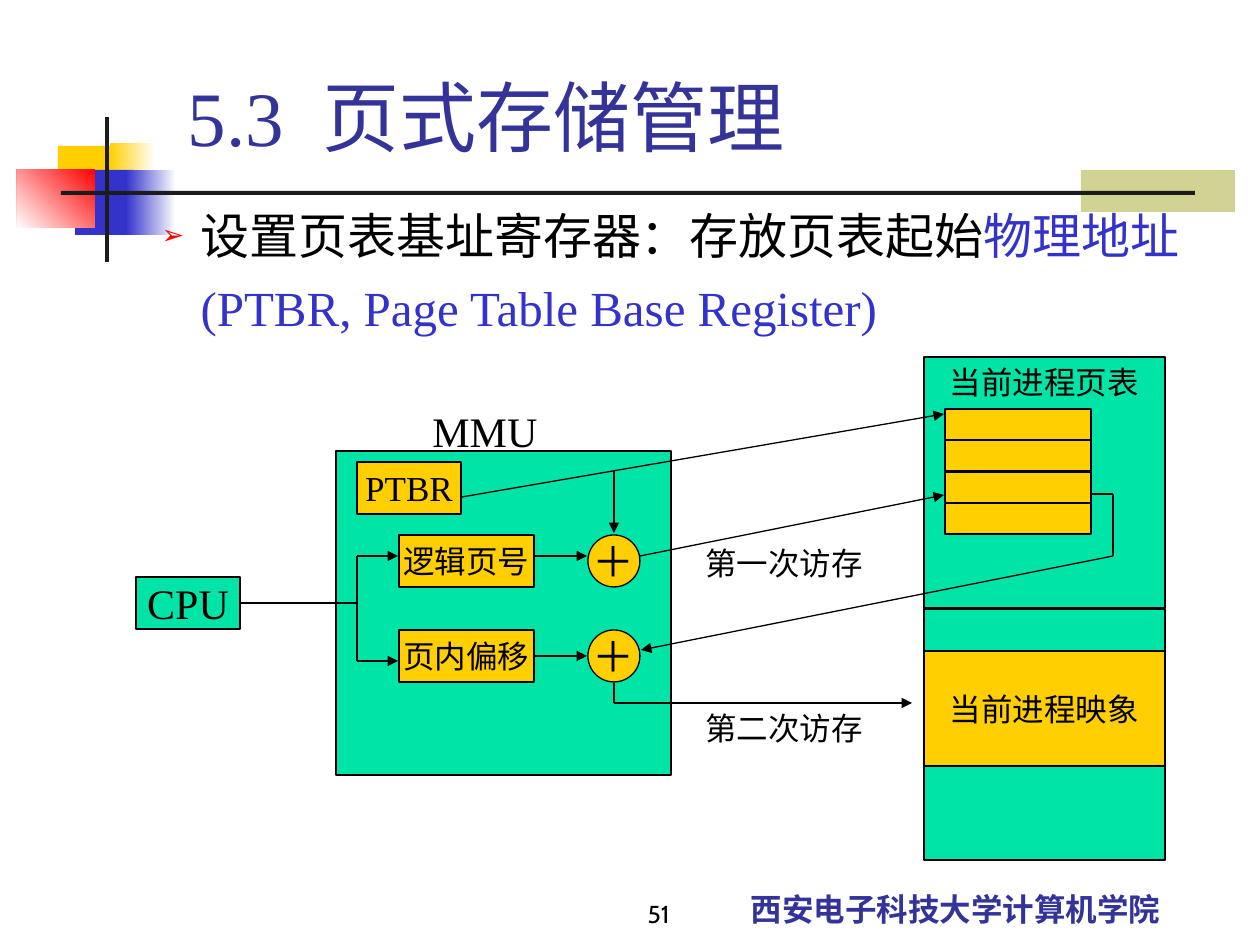
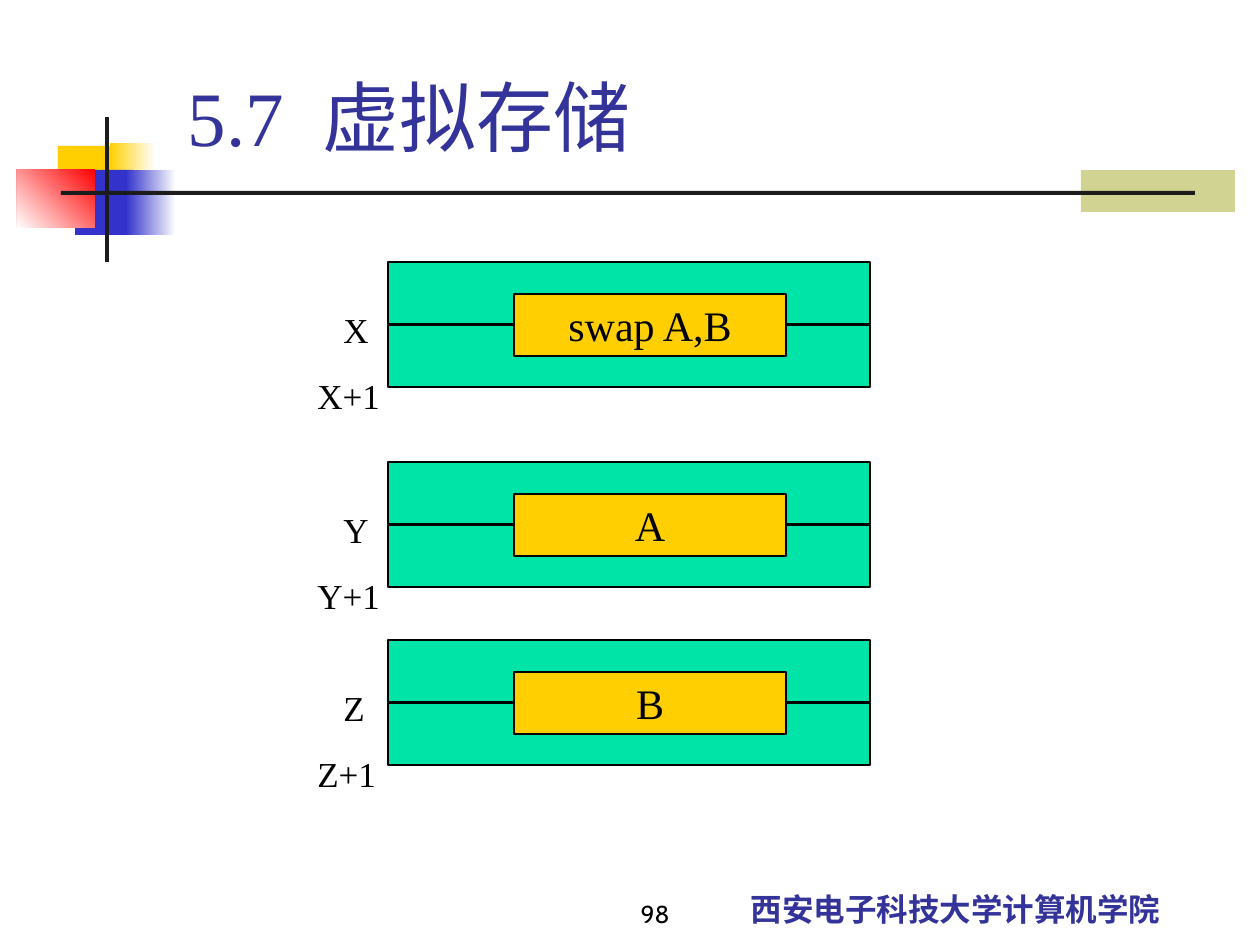
from pptx import Presentation
from pptx.dml.color import RGBColor
from pptx.enum.shapes import MSO_CONNECTOR, MSO_SHAPE
from pptx.enum.text import MSO_ANCHOR as ANCHOR, MSO_AUTO_SIZE as FIT, PP_ALIGN as ALIGN
from pptx.oxml.ns import qn
from pptx.util import Pt
from lxml.etree import SubElement as Sub

PX = 914400 / 126
RECT, OVAL = MSO_SHAPE.RECTANGLE, MSO_SHAPE.OVAL
WHITE, BLACK = RGBColor(255, 255, 255), RGBColor(0, 0, 0)
INK, NAVY = RGBColor(0x1C, 0x1C, 0x1C), RGBColor(0x33, 0x33, 0x99)
BLUE, RED = RGBColor(0x33, 0x33, 0xCC), RGBColor(255, 0, 0)
GOLD, GREEN = RGBColor(0xFF, 0xCF, 0x01), RGBColor(0, 0xE4, 0xA8)
OLIVE = RGBColor(0xD1, 0xD3, 0x93)
SERIF, SANS, NUM = "Times New Roman", "Noto Sans CJK SC", "Cabin"

# Shared decoration: area, colours (two make a gradient), angle
DECOR = [
    ((1081, 170, 154, 42), [OLIVE], 0),
    ((58, 146, 60, 66), [GOLD], 0),
    ((110, 143, 45, 65), [WHITE, GOLD], 180),
    ((75, 170, 58, 65), [BLUE], 0),
    ((126, 170, 50, 65), [WHITE, BLUE], 180),
    ((17, 169, 78, 59), [RED, WHITE], 225),
    ((105, 117, 4, 145), [INK], 0),
    ((61, 191, 1134, 4), [INK], 0),
]
SCHOOL = "西安电子科技大学计算机学院"

# Paging slide
POINTS = [
    [("设置页表基址寄存器：存放页表起始", BLACK), ("物理地址", BLUE)],
    [("(PTBR, Page Table Base Register)", BLUE)],
]
PARTS = [  # name, kind, area, fill, text, size
    ("mmu", RECT, (336, 451, 335, 324), GREEN, "", 18),
    ("cpu", RECT, (136, 577, 104, 52), GREEN, "CPU", 24),
    ("ptbr", RECT, (357, 462, 104, 52), GOLD, "PTBR", 20),
    ("page", RECT, (399, 535, 135, 52), GOLD, "逻辑页号", 18),
    ("shift", RECT, (399, 630, 135, 52), GOLD, "页内偏移", 18),
    ("sum 1", OVAL, (588, 535, 52, 52), GOLD, "＋", 24),
    ("sum 2", OVAL, (588, 630, 52, 52), GOLD, "＋", 24),
    ("table", RECT, (924, 357, 241, 251), GREEN, "当前进程页表", 18),
    ("memory", RECT, (924, 609, 241, 251), GREEN, "", 18),
    ("image", RECT, (924, 651, 241, 115), GOLD, "当前进程映象", 18),
]
ROWS, ROW_X, ROW_Y, ROW_W, ROW_H = 4, 945, 409, 146, 31
LINES = [  # from, to, arrow, part joined at its right side
    ((357, 556), (357, 661), False, None),
    ((240, 603), (357, 603), False, "cpu"),
    ((357, 556), (398, 556), True, None),
    ((357, 661), (398, 661), True, None),
    ((462, 497), (944, 414), True, None),
    ((614, 471), (614, 533), True, None),
    ((535, 556), (587, 556), True, None),
    ((640, 556), (944, 495), True, None),
    ((1113, 556), (641, 650), True, None),
    ((1092, 494), (1113, 494), False, None),
    ((1113, 494), (1113, 556), False, None),
    ((534, 656), (587, 656), True, "shift"),
    ((614, 683), (614, 703), False, None),
    ((614, 703), (912, 703), True, None),
]
NOTES = [
    ("MMU", (420, 399, 146, 63), 24),
    ("第一次访存", (693, 538, 198, 50), 18),
    ("第二次访存", (693, 703, 198, 50), 18),
]

# Virtual memory slide: top, label, content of each pair of pages
PAIRS = [(262, "X", "swap A,B"), (462, "Y", "A"), (640, "Z", "B")]


def px(*nums):
    return [round(n * PX) for n in nums]


def style(para, size, color=BLACK, font=SERIF, bold=False, align=ALIGN.LEFT,
          before=0.7):
    para.alignment = align
    para.space_before, para.space_after = Pt(before), Pt(0.7)
    for run in para.runs:
        run.font.size, run.font.name, run.font.bold = Pt(size), font, bold
        run.font.color.rgb = color
        Sub(run.font._element, qn("a:ea"), typeface=SANS)


def place(shape, area):
    shape.left, shape.top, shape.width, shape.height = px(*area)
    shape.text_frame.auto_size = FIT.NONE
    shape.text_frame.word_wrap = True


def label(slide, text, area, size, anchor=ANCHOR.TOP, **look):
    note = slide.shapes.add_textbox(*px(*area))
    frame = note.text_frame
    frame.word_wrap, frame.vertical_anchor = True, anchor
    frame.text = text
    for para in frame.paragraphs:
        style(para, size, **look)
    return note


def box(slide, area, fill, text="", size=18, kind=RECT, anchor=ANCHOR.MIDDLE):
    shape = slide.shapes.add_shape(kind, *px(*area))
    shape.shadow.inherit = False
    shape.fill.solid()
    shape.fill.fore_color.rgb = fill
    shape.line.color.rgb, shape.line.width = BLACK, Pt(0.75)
    if text:
        frame = shape.text_frame
        frame.word_wrap, frame.vertical_anchor = False, anchor
        frame.text = text
        style(frame.paragraphs[0], size, align=ALIGN.CENTER)
    return shape


def link(slide, start, end, arrow, part=None):
    line = slide.shapes.add_connector(MSO_CONNECTOR.STRAIGHT, *px(*start, *end))
    if part is not None:
        line.begin_connect(part, 3)
    line.line.color.rgb, line.line.width = BLACK, Pt(0.75)
    if arrow:
        Sub(line.line._get_or_add_ln(), qn("a:tailEnd"), type="triangle")
    Sub(line._element.spPr, qn("a:effectLst"))


def dress(master, slide):
    """Draw the decoration and the school name, then move them to the master."""
    items = []
    for area, tones, angle in DECOR:
        shape = slide.shapes.add_shape(RECT, *px(*area))
        shape.shadow.inherit = False
        shape.line.fill.background()
        if len(tones) == 1:
            shape.fill.solid()
            shape.fill.fore_color.rgb = tones[0]
        else:
            shape.fill.gradient()
            shape.fill.gradient_angle = angle
            for stop, tone, pos in zip(shape.fill.gradient_stops, tones, (0, 1)):
                stop.color.rgb, stop.position = tone, pos
        items.append(shape)
    items.append(label(slide, SCHOOL, (672, 861, 567, 73), 18, ANCHOR.BOTTOM,
                       color=NAVY, font=SANS, bold=True, align=ALIGN.CENTER))
    for item in items:
        master.shapes.element.append(item.element)


def start(deck, layout, number, name, page):
    slide = deck.slides.add_slide(deck.slide_layouts[layout])
    title = slide.shapes.title
    place(title, (175, 63, 1074, 105))
    title.text_frame.vertical_anchor = ANCHOR.BOTTOM
    para = title.text_frame.paragraphs[0]
    for part in (number, " ", name):
        para.add_run().text = part
    style(para, 44, NAVY)
    para.runs[1].font._element.set("spc", "1100")  # wide gap after the number
    label(slide, page, (420, 872, 262, 63), 14, ANCHOR.BOTTOM,
          font=NUM, align=ALIGN.RIGHT)
    return slide


def indent(para, left, first=0):
    props = para._p.get_or_add_pPr()
    props.set("marL", str(px(left)[0]))
    props.set("indent", str(px(first)[0]))
    return props


def bullets(slide):
    body = slide.placeholders[1]
    place(body, (86, 199, 1120, 136))
    frame = body.text_frame
    for i, parts in enumerate(POINTS):
        para = frame.add_paragraph() if i else frame.paragraphs[0]
        para.level = 1
        for text, _ in parts:
            para.add_run().text = text
        style(para, 28, before=6.7 if i else 7.7)
        for run, (_, color) in zip(para.runs, parts):
            run.font.color.rgb = color
        props = indent(para, 102, 0 if i else -39)
        if i:
            Sub(props, qn("a:buNone"))
        else:
            tint = Sub(props, qn("a:buClr"))
            Sub(tint, qn("a:srgbClr"), val=str(RED))
            Sub(props, qn("a:buSzPct"), val="55000")
            Sub(props, qn("a:buChar"), char="➢")


def paging(slide):
    bullets(slide)
    made = {}
    for name, kind, area, fill, text, size in PARTS:
        anchor = ANCHOR.TOP if name == "table" else ANCHOR.MIDDLE
        made[name] = box(slide, area, fill, text, size, kind, anchor)
    for i in range(ROWS):
        box(slide, (ROW_X, ROW_Y + i * 63 // 2, ROW_W, ROW_H), GOLD)
    for begin, end, arrow, part in LINES:
        link(slide, begin, end, arrow, made.get(part))
    for text, area, size in NOTES:
        label(slide, text, area, size)


def virtual(slide):
    for top, name, text in PAIRS:
        for y in (top, top + 63):
            box(slide, (388, y, 482, 62), GREEN)
        note = label(slide, f"{name}\n{name}+1", (305, top + 40, 115, 121), 20,
                     before=13.2)
        indent(note.text_frame.paragraphs[0], 26)
        box(slide, (514, top + 32, 272, 62), GOLD, text, 24)


def main():
    deck = Presentation()
    deck.slide_width, deck.slide_height = px(1260, 945)
    first = start(deck, 1, "5.3", "页式存储管理", "51")
    dress(deck.slide_master, first)
    paging(first)
    virtual(start(deck, 5, "5.7", "虚拟存储", "98"))
    deck.save("out.pptx")


if __name__ == "__main__":
    main()
